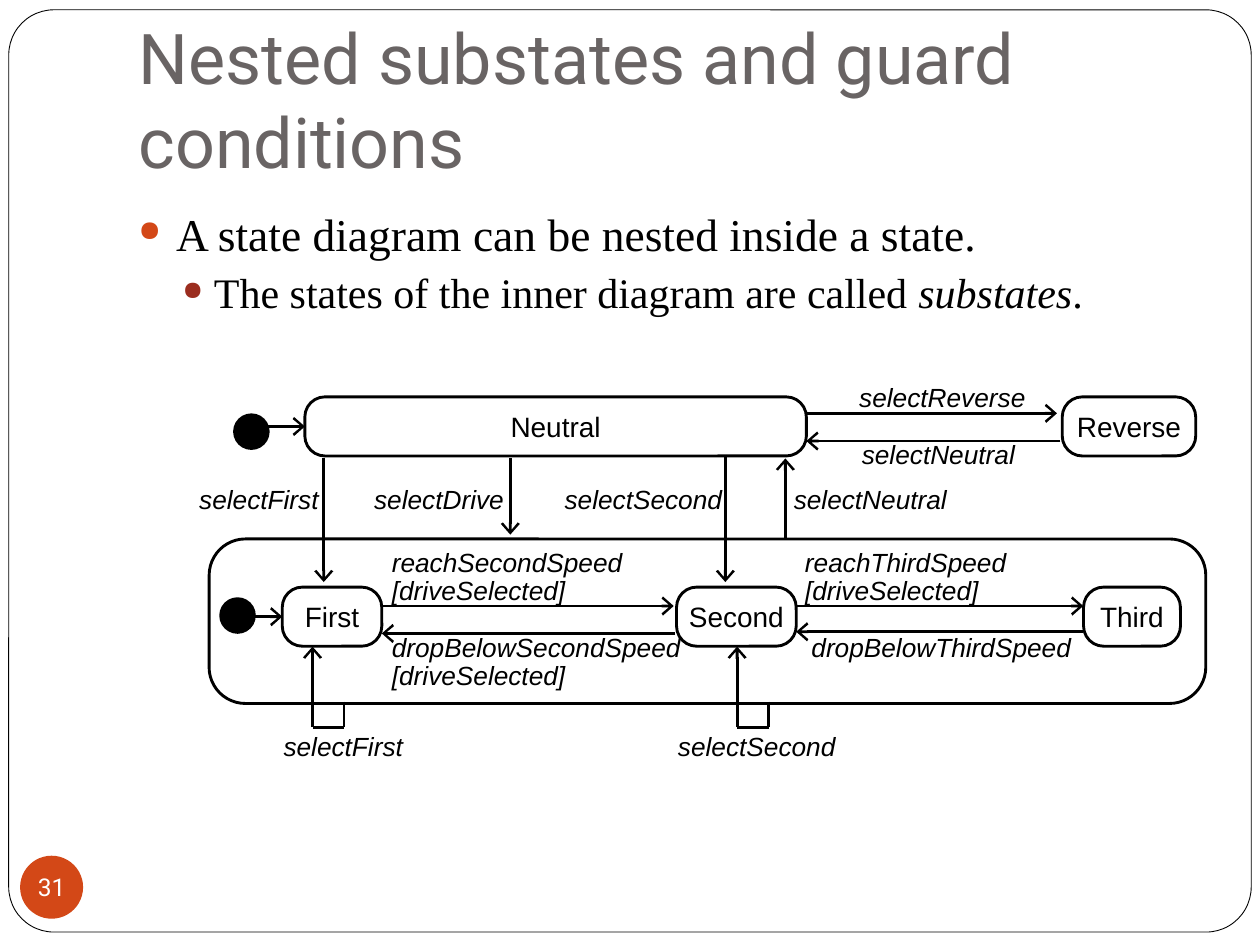
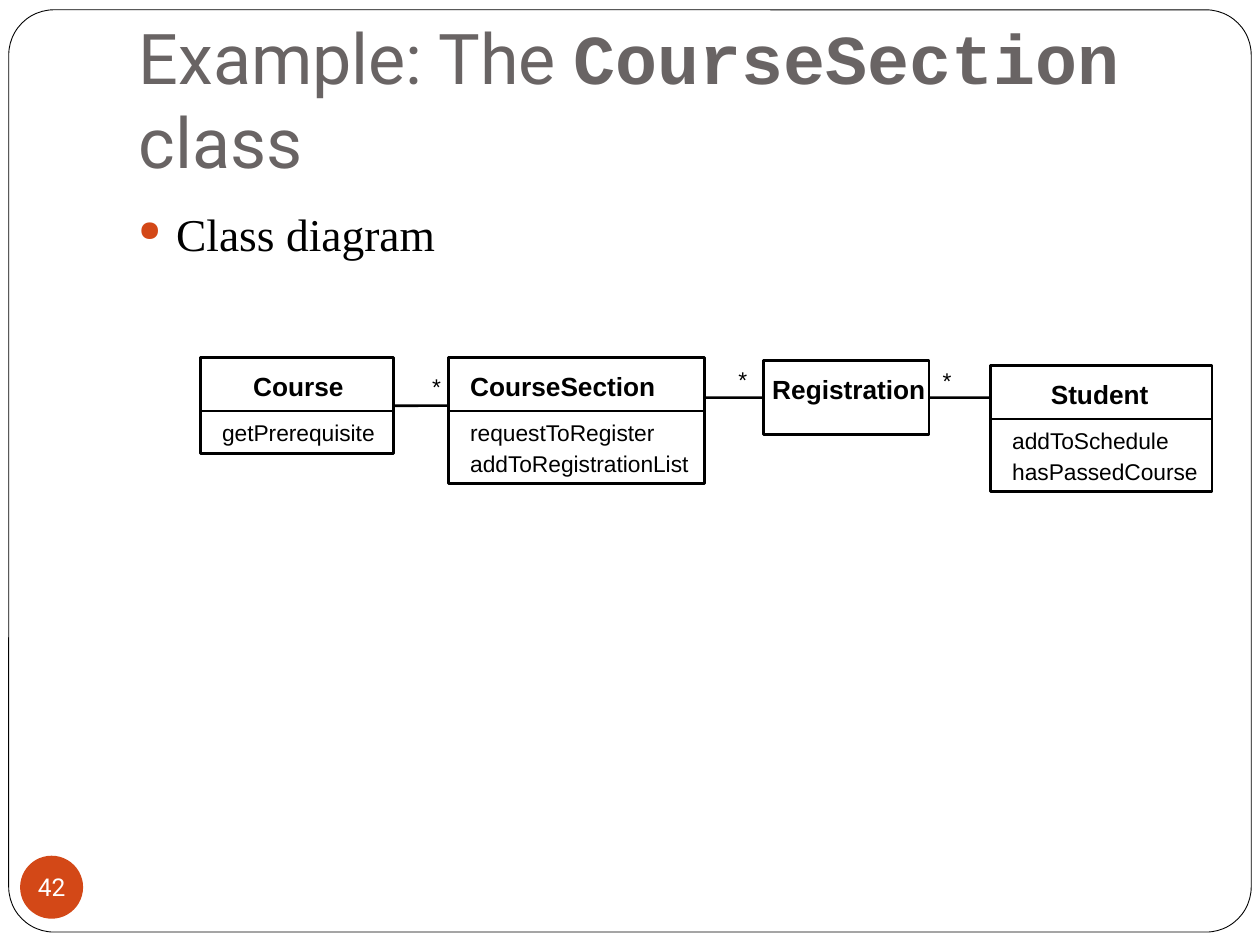
from lxml.etree import SubElement
from pptx import Presentation
from pptx.dml.color import RGBColor
from pptx.enum.shapes import MSO_CONNECTOR, MSO_SHAPE
from pptx.enum.text import MSO_ANCHOR, MSO_AUTO_SIZE, PP_ALIGN
from pptx.oxml.ns import qn
from pptx.util import Pt

COLORS = {"ink": "000000", "title": "696464", "paper": "FFFFFF",
          "accent": "D34817", "accent2": "9B2D1F"}
RGB = {name: RGBColor.from_string(value) for name, value in COLORS.items()}
STATE_LINE, CLASS_LINE = 1.63, 1.5


def draw(page, kind, frame, text="", size=16, fill=None, weight=0, color="ink",
         font="Arial", bold=False, italic=False):
    """Add a preset shape with centred text, or a left-aligned text box if kind is None."""
    left, top, width, height = [Pt(value) for value in frame]
    if kind is None:
        box = page.shapes.add_textbox(left, top, width, height)
    else:
        box = page.shapes.add_shape(kind, left, top, width, height)
        box.shadow.inherit = False
        if fill:
            box.fill.solid()
            box.fill.fore_color.rgb = RGB[fill]
        else:
            box.fill.background()
        if weight:
            box.line.color.rgb = RGB["ink"]
            box.line.width = Pt(weight)
        else:
            box.line.fill.background()
    body = box.text_frame
    body.margin_left = body.margin_right = body.margin_top = body.margin_bottom = 0
    body.word_wrap = False
    if text:
        body.vertical_anchor = MSO_ANCHOR.MIDDLE if kind else MSO_ANCHOR.TOP
        para = body.paragraphs[0]
        para.text = text
        para.alignment = PP_ALIGN.CENTER if kind else PP_ALIGN.LEFT
        para.font.name, para.font.size = font, Pt(size)
        para.font.bold, para.font.italic = bold, italic
        para.font.color.rgb = RGB[color]
    return box


def link(page, x1, y1, x2, y2, weight, arrow=False):
    """Add a straight line, with an open arrowhead at its end if asked."""
    line = page.shapes.add_connector(MSO_CONNECTOR.STRAIGHT, Pt(x1), Pt(y1), Pt(x2), Pt(y2))
    line.line.color.rgb = RGB["ink"]
    line.line.width = Pt(weight)
    if arrow:
        SubElement(line.line._get_or_add_ln(), qn("a:tailEnd"), type="arrow", w="lg", len="med")
    SubElement(line._element.spPr, qn("a:effectLst"))
    return line


deck = Presentation()
deck.slide_width, deck.slide_height = Pt(720), Pt(540)

# Each slide: number, title runs (text, font, bold), bullets (level, runs)
slides = [
    ("31", [("Nested substates and guard conditions", "Roboto", False)],
     [(0, ["A state diagram can be nested inside a state."]),
      (1, ["The states of the inner diagram are called ", "substates", "."])]),
    ("42", [("Example: The ", "Roboto", False), ("CourseSection", "Courier New", True),
            (" class", "Roboto", False)],
     [(0, ["Class diagram"])]),
]
# Bullet levels: left margin, hanging indent, space before, size, bullet colour
levels = [(21.6, 21.6, 5.8, 26, "accent"), (43.2, 18, 3.8, 24, "accent2")]

# Shared parts: frame, number badge, title and bullets
for number, title_runs, bullets in slides:
    page = deck.slides.add_slide(deck.slide_layouts[5])
    border = draw(page, MSO_SHAPE.ROUNDED_RECTANGLE, (5, 5.6, 710, 527), weight=0.5)
    border.adjustments[0] = 0.049
    draw(page, MSO_SHAPE.OVAL, (11.5, 489, 36, 36), number, 14, "accent",
         color="paper", font="Roboto")

    title = page.shapes.title
    title.left, title.top, title.width, title.height = Pt(72), Pt(21.6), Pt(612), Pt(90)
    body = title.text_frame
    body.auto_size = MSO_AUTO_SIZE.NONE
    body.word_wrap = True
    body.vertical_anchor = MSO_ANCHOR.BOTTOM
    body.margin_left = body.margin_right = body.margin_bottom = Pt(7.2)
    body.margin_top = Pt(3.6)
    para = body.paragraphs[0]
    para.alignment = PP_ALIGN.LEFT
    para.font.size = Pt(40)
    para.font.color.rgb = RGB["title"]
    for text, font, bold in title_runs:
        span = para.add_run()
        span.text, span.font.name, span.font.bold = text, font, bold

    body = page.shapes.add_textbox(Pt(72), Pt(114), Pt(612), Pt(360)).text_frame
    body.word_wrap = True
    for index, (level, texts) in enumerate(bullets):
        margin, hang, before, size, bullet_color = levels[level]
        para = body.add_paragraph() if index else body.paragraphs[0]
        para.level = level
        para.space_before = Pt(before)
        para.font.name, para.font.size = "Times New Roman", Pt(size)
        para.font.color.rgb = RGB["ink"]
        for text in texts:
            span = para.add_run()
            span.text, span.font.italic = text, text == "substates"
        props = para._p.get_or_add_pPr()
        props.set("marL", str(Pt(margin)))
        props.set("indent", str(-Pt(hang)))
        marks = [SubElement(props, qn("a:buClr")),
                 SubElement(props, qn("a:buSzPct"), val="63000"),
                 SubElement(props, qn("a:buChar"), char="●")]
        SubElement(marks[0], qn("a:srgbClr"), val=COLORS[bullet_color])
        for mark in marks:
            props.find(qn("a:defRPr")).addprevious(mark)

state_page, class_page = deck.slides

# State diagram: the outer state and the states
superstate = draw(state_page, MSO_SHAPE.ROUNDED_RECTANGLE, (119.5, 308, 569.5, 94),
                  weight=STATE_LINE)
superstate.adjustments[0] = 0.22
states = {}
for name, left, top, width in [
        ("Neutral", 174.2, 226.8, 286.6), ("Reverse", 607, 226.8, 76.3),
        ("First", 161.3, 335.5, 56.9), ("Second", 386.6, 335.5, 68.4),
        ("Third", 619.2, 335.5, 55.4)]:
    states[name] = draw(state_page, MSO_SHAPE.ROUNDED_RECTANGLE, (left, top, width, 33.8),
                        name, weight=STATE_LINE)
    states[name].adjustments[0] = 0.341

# Initial states, each with a level arrow to the middle of its state
for name, left, top, middle in [("Neutral", 133.2, 236.2, 243.7),
                                ("First", 125.3, 341.3, 352.4)]:
    draw(state_page, MSO_SHAPE.OVAL, (left, top, 20.9, 20.9), fill="ink")
    start = link(state_page, left + 20, middle, left + 36, middle, STATE_LINE, True)
    start.end_connect(states[name], 1)

# Transitions
for ends in [
        (460.8, 236.2, 604, 236.2), (606, 252, 460.8, 252),
        (218.2, 346.3, 385, 346.3), (386, 362, 218.2, 362),
        (455, 346.3, 619, 346.3), (619, 361, 455, 361),
        (185, 262, 185, 332.6), (291.6, 262, 291.6, 305.5),
        (414.5, 260, 414.5, 332.6), (448.8, 307.5, 448.8, 262)]:
    link(state_page, *ends, STATE_LINE, True)

# Loops from the outer state back into a substate
for x in (178.6, 421.2):
    link(state_page, x + 18, 401, x + 18, 415.5, STATE_LINE)
    link(state_page, x + 18, 415.5, x, 415.5, STATE_LINE)
    link(state_page, x, 415.5, x, 369.5, STATE_LINE, True)

# Transition labels: text, left, top, width
for text, left, top, width in [
        ("selectReverse", 491, 217.8, 102), ("selectNeutral", 492.5, 250.6, 94),
        ("selectFirst", 113.8, 276, 74), ("selectDrive", 213.8, 276, 80),
        ("selectSecond", 322.6, 276, 98), ("selectNeutral", 453.6, 276, 94),
        ("reachSecondSpeed", 223.9, 312, 138), ("[driveSelected]", 223.9, 328.3, 106),
        ("reachThirdSpeed", 460, 312, 122), ("[driveSelected]", 460, 328.3, 106),
        ("dropBelowSecondSpeed", 223.9, 360.7, 172), ("[driveSelected]", 223.9, 376.6, 106),
        ("dropBelowThirdSpeed", 463.7, 360.7, 155),
        ("selectFirst", 162, 417, 74), ("selectSecond", 387.4, 417, 98)]:
    draw(state_page, None, (left, top, width, 18), text, 15, italic=True)

# Class diagram: name, left, top, width, height, indent of the name, methods
classes = {}
for name, left, top, width, height, indent, methods in [
        ("Course", 114.5, 204.5, 110.5, 54.7, 30.2, ["getPrerequisite"]),
        ("CourseSection", 256.3, 204.5, 146.2, 72, 12.4,
         ["requestToRegister", "addToRegistrationList"]),
        ("Registration", 436.3, 206, 94.5, 42.5, 5, []),
        ("Student", 566, 209, 126.7, 72, 34.5, ["addToSchedule", "hasPassedCourse"])]:
    classes[name] = draw(class_page, MSO_SHAPE.RECTANGLE, (left, top, width, height),
                         weight=CLASS_LINE)
    draw(class_page, None, (left + indent, top + 7.2, width, 20), name, 15, bold=True)
    if methods:
        link(class_page, left, top + 30.4, left + width, top + 30.4, CLASS_LINE)
    for row, method in enumerate(methods):
        draw(class_page, None, (left + 12.4, top + 34.7 + 17.7 * row, width, 16), method, 13)

# Associations and their multiplicities
course_link = link(class_page, 225, 231.8, 256.3, 231.8, CLASS_LINE)
course_link.begin_connect(classes["Course"], 3)
section_link = link(class_page, 402.5, 227.2, 436.3, 227.2, CLASS_LINE)
section_link.end_connect(classes["Registration"], 1)
student_link = link(class_page, 530.8, 227.2, 566, 227.2, CLASS_LINE)
student_link.begin_connect(classes["Registration"], 3)
for left, top in [(247, 213), (422, 208.8), (538.6, 209.5)]:
    draw(class_page, None, (left, top, 11.5, 22), "*", 13)

deck.save("out.pptx")
